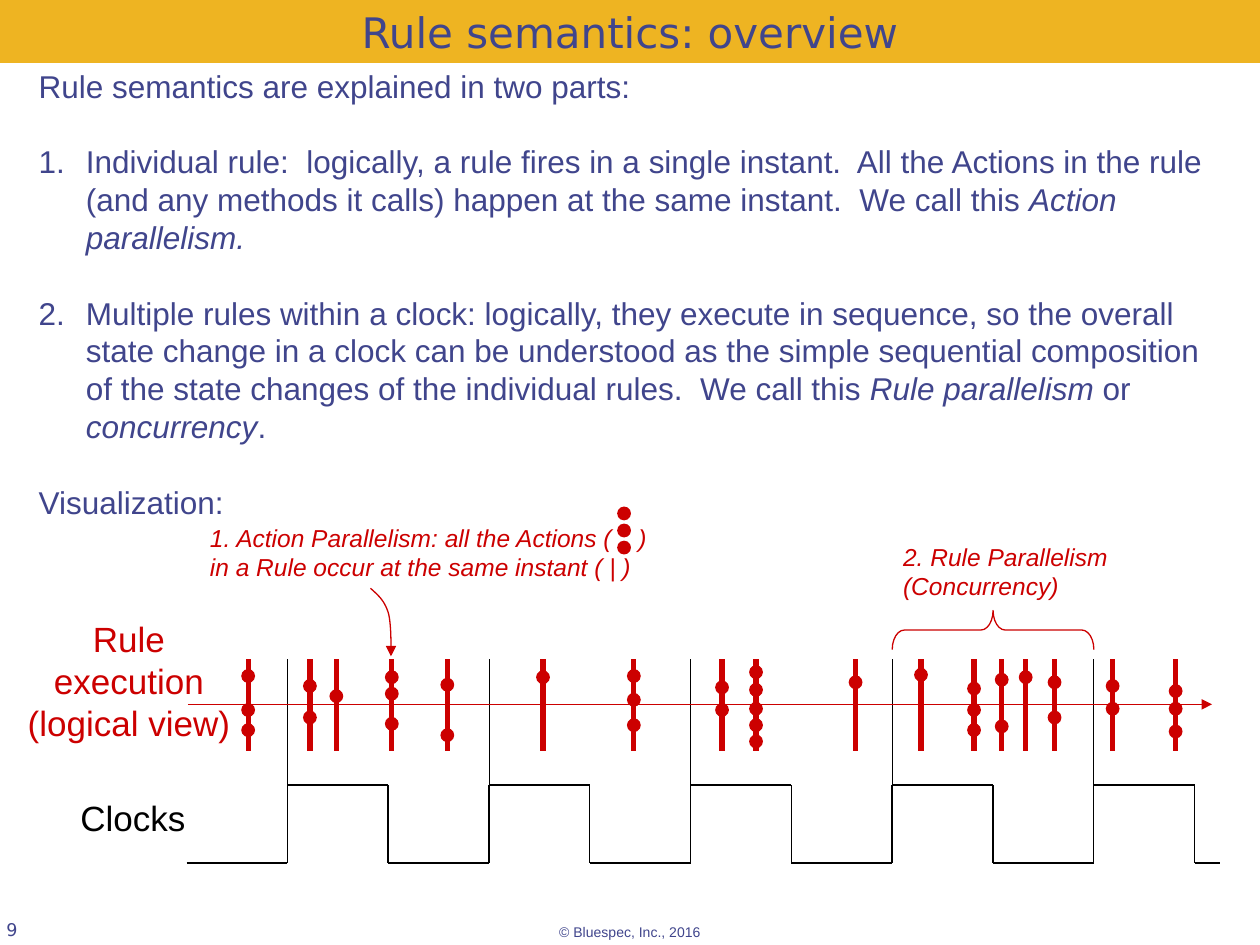
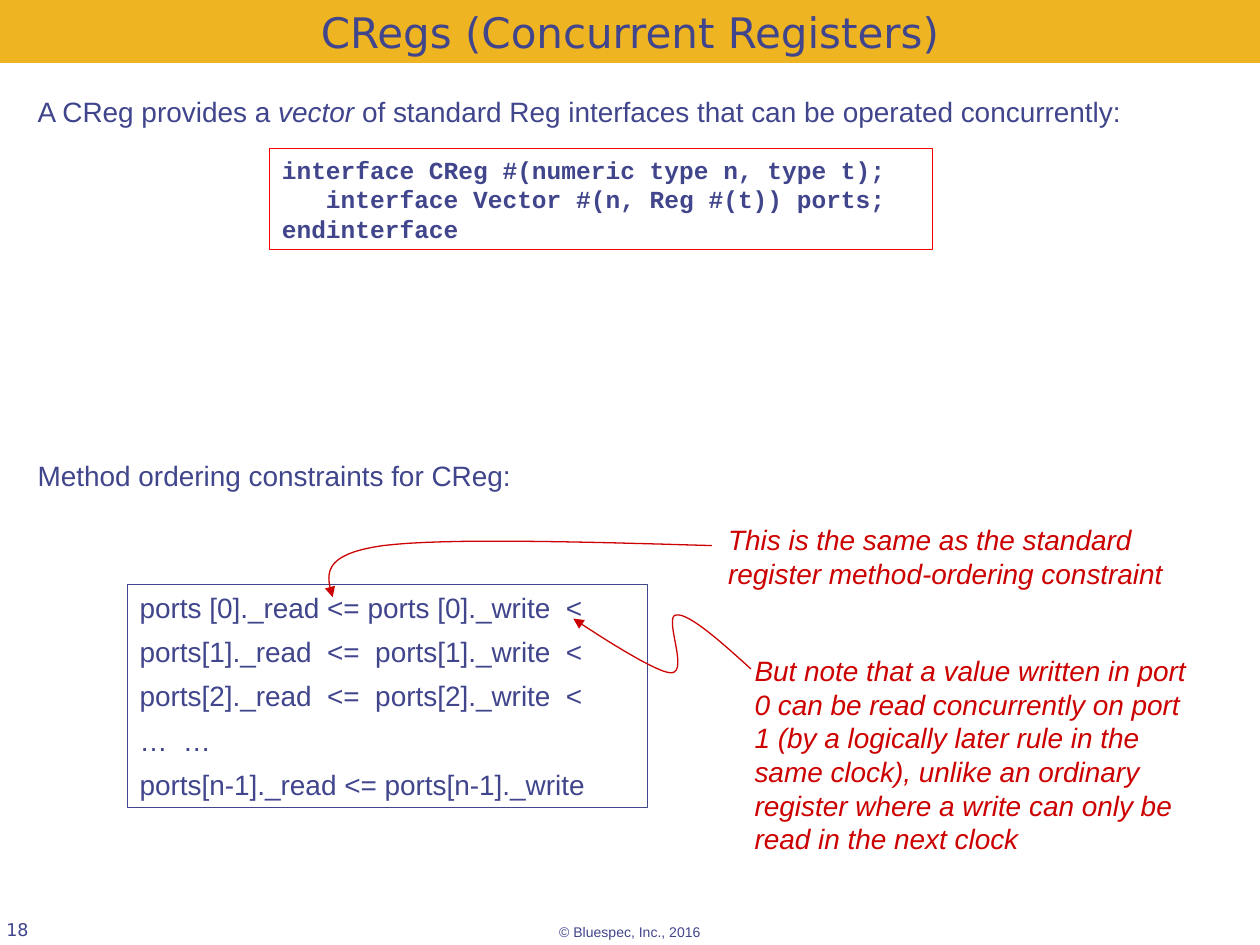
from lxml.etree import SubElement
from pptx import Presentation
from pptx.dml.color import RGBColor
from pptx.enum.shapes import MSO_CONNECTOR, MSO_SHAPE
from pptx.enum.text import MSO_ANCHOR, PP_ALIGN
from pptx.oxml.ns import qn
from pptx.util import Pt

COLORS = {
    "band": "EEB422",
    "text": "40458C",
    "accent": "CC0000",
    "code_border": "FF0000",
    "black": "000000",
}
MARGINS = (7.2, 3.6, 7.2, 3.6)
NO_MARGINS = (0, 0, 0, 0)
LINE_HEIGHT = 1.2
CURVE_STEPS = 16


def rgb(name):
    return RGBColor.from_string(COLORS[name])


def write(frame, paragraphs, size=16, color="text", font="Arial", bold=False,
          italic=False, align=PP_ALIGN.LEFT, anchor=MSO_ANCHOR.TOP,
          margins=MARGINS, gap=0, numbered=(), tab=None):
    """Fill a text frame; *asterisks* mark italics, numbered holds paragraph indexes."""
    frame.word_wrap = True
    frame.vertical_anchor = anchor
    frame.margin_left, frame.margin_top, frame.margin_right, frame.margin_bottom = map(Pt, margins)
    for index, text in enumerate(paragraphs):
        paragraph = frame.paragraphs[0] if index == 0 else frame.add_paragraph()
        properties = paragraph._p.get_or_add_pPr()
        if index in numbered:
            properties.set("marL", str(Pt(27)))
            properties.set("indent", str(-Pt(27)))
            SubElement(properties, qn("a:buFont"), typeface="+mj-lt")
            SubElement(properties, qn("a:buAutoNum"), type="arabicPeriod")
        if tab:
            tabs = SubElement(properties, qn("a:tabLst"))
            SubElement(tabs, qn("a:tab"), pos=str(Pt(tab)), algn="l")
        paragraph.alignment = align
        paragraph.line_spacing = Pt(LINE_HEIGHT * size)
        if index:
            paragraph.space_before = Pt(gap)
        for part, piece in enumerate(text.split("*")):
            if not piece:
                continue
            run = paragraph.add_run()
            run.text = piece
            run.font.size = Pt(size)
            run.font.name = font
            run.font.bold = bold
            run.font.italic = italic or part % 2 == 1
            run.font.color.rgb = rgb(color)


def bezier(start, first, second, end, steps=CURVE_STEPS):
    """Points along a cubic curve, without its start."""
    points = []
    for step in range(1, steps + 1):
        t = step / steps
        weights = ((1 - t) ** 3, 3 * t * (1 - t) ** 2, 3 * t * t * (1 - t), t ** 3)
        points.append(tuple(
            sum(weight * point[axis] for weight, point in zip(weights, (start, first, second, end)))
            for axis in (0, 1)))
    return points


class Deck:
    def __init__(self):
        self.presentation = Presentation()
        self.presentation.slide_width = Pt(720)
        self.presentation.slide_height = Pt(540)
        self.slide = None

    def start_slide(self, title, number):
        self.slide = self.presentation.slides.add_slide(self.presentation.slide_layouts[5])
        band = self.slide.shapes.title
        band.left, band.top, band.width, band.height = Pt(0), Pt(0), Pt(720), Pt(36)
        band.fill.solid()
        band.fill.fore_color.rgb = rgb("band")
        write(band.text_frame, [title], size=24, font="DejaVu Sans", align=PP_ALIGN.CENTER,
              anchor=MSO_ANCHOR.BOTTOM, margins=(0, 3.6, 0, 3.6))
        self.text(3.6, 501, 150, 36, [number], size=10, font="DejaVu Sans",
                  anchor=MSO_ANCHOR.BOTTOM, margins=NO_MARGINS)
        self.text(300, 524, 120, 16, ["© Bluespec, Inc., 2016"], size=8, align=PP_ALIGN.CENTER)

    def text(self, left, top, width, height, paragraphs, **style):
        box = self.slide.shapes.add_textbox(Pt(left), Pt(top), Pt(width), Pt(height))
        write(box.text_frame, paragraphs, **style)

    def shape(self, kind, left, top, width, height, fill=None, line=None):
        shape = self.slide.shapes.add_shape(kind, Pt(left), Pt(top), Pt(width), Pt(height))
        shape.shadow.inherit = False
        if fill:
            shape.fill.solid()
            shape.fill.fore_color.rgb = rgb(fill)
        else:
            shape.fill.background()
        if line:
            shape.line.color.rgb = rgb(line)
            shape.line.width = Pt(0.75)
        else:
            shape.line.fill.background()
        return shape

    def framed_text(self, left, top, width, height, paragraphs, line, **style):
        frame = self.shape(MSO_SHAPE.RECTANGLE, left, top, width, height, line=line)
        write(frame.text_frame, paragraphs, **style)

    def dot(self, x, y, diameter=7.9):
        self.shape(MSO_SHAPE.OVAL, x - diameter / 2, y - diameter / 2, diameter, diameter,
                   fill="accent")

    def style_line(self, shape, color, width, arrow):
        shape.line.color.rgb = rgb(color)
        shape.line.width = Pt(width)
        if arrow:
            SubElement(shape.line._get_or_add_ln(), qn("a:tailEnd"), type="triangle")

    def line(self, start, end, color="black", width=0.25, arrow=False):
        connector = self.slide.shapes.add_connector(
            MSO_CONNECTOR.STRAIGHT, *(Pt(value) for value in (*start, *end)))
        self.style_line(connector, color, width, arrow)
        SubElement(connector._element.spPr, qn("a:effectLst"))

    def curved_arrow(self, start, *segments):
        points = [start]
        for segment in segments:
            points += bezier(points[-1], *segment)
        points = [(Pt(x), Pt(y)) for x, y in points]
        builder = self.slide.shapes.build_freeform(*points[0])
        builder.add_line_segments(points[1:], close=False)
        curve = builder.convert_to_shape()
        curve.shadow.inherit = False
        curve.fill.background()
        self.style_line(curve, "accent", 0, True)


def draw_clock(deck):
    first_rise, period, high, low = 164.2, 115.2, 448.6, 493.2
    points = [(106.6, low)]
    for cycle in range(5):
        rise = first_rise + cycle * period
        fall = rise + period / 2
        deck.line((rise, 376.6), (rise, 460))
        points += [(rise, low), (rise, high), (fall, high), (fall, low)]
    points.append((697, low))
    for start, end in zip(points, points[1:]):
        deck.line(start, end, width=0.75)


def draw_rules(deck):
    """Each rule is a bar at one instant; its dots are the actions."""
    rules = {
        141.8: (386.3, 405.7, 417.2),
        177.1: (392, 410),
        192.2: (397.8,),
        223.9: (387, 396.4, 413.6),
        255.6: (391.3, 420.1),
        310.3: (387,),
        362.2: (386.3, 399.9, 414.4),
        412.6: (392.8, 405.7),
        432: (384.1, 394.2, 405, 414.4, 423.7),
        488.9: (389.9,),
        526.3: (385.6,),
        556.6: (393.5, 405.7, 417.2),
        572.4: (388.4, 415.1),
        586.1: (387,),
        602.6: (389.9, 410),
        635.8: (392, 405),
        671.8: (394.9, 405, 418),
    }
    deck.line((107.3, 402.5), (692.6, 402.5), color="accent", arrow=True)
    for x, actions in rules.items():
        deck.line((x, 376.6), (x, 429.1), color="accent", width=3)
        for y in actions:
            deck.dot(x, y)


def build_rule_semantics(deck):
    deck.start_slide("Rule semantics: overview", "9")
    deck.text(15, 34.6, 690.5, 266.4, [
        "Rule semantics are explained in two parts:",
        "Individual rule:  logically, a rule fires in a single instant.  All the Actions in the "
        "rule (and any methods it calls) happen at the same instant.  We call this "
        "*Action parallelism.*",
        "Multiple rules within a clock: logically, they execute in sequence, so the overall "
        "state change in a clock can be understood as the simple sequential composition of the "
        "state changes of the individual rules.  We call this *Rule parallelism *or "
        "*concurrency*.",
        "Visualization:",
    ], size=18, gap=21.6, numbered=(1, 2))
    draw_clock(deck)
    draw_rules(deck)

    note = dict(size=14, color="accent", italic=True)
    deck.text(120, 298.8, 258, 33.8, [
        "1. Action Parallelism: all the Actions (\t) in a Rule occur at the same instant ( | )",
    ], margins=NO_MARGINS, tab=244.8, **note)
    for row in range(3):
        deck.dot(356.6, 293.4 + 9.75 * row)
    deck.curved_arrow((211.7, 336.2),
                      ((216.7, 340.6), (219.6, 343.4), (221.8, 349.9)),
                      ((223.9, 356.4), (223.4, 375.1), (223.4, 375.1)))
    deck.text(509, 310, 139, 33, ["2. Rule Parallelism (Concurrency)"],
              anchor=MSO_ANCHOR.MIDDLE, margins=(7.2, 0, 7.2, 0), **note)
    brace = deck.shape(MSO_SHAPE.LEFT_BRACE, 556.3, 302.4, 22.3, 115.2, line="accent")
    brace.rotation = 90
    brace.adjustments[0] = 0.31

    label = dict(size=20, align=PP_ALIGN.CENTER)
    deck.text(3.7, 349.2, 140, 79.2, ["Rule", "execution", "(logical view)"],
              color="accent", **label)
    deck.text(26, 451.4, 100, 31, ["Clocks"], color="black", **label)


def build_concurrent_registers(deck):
    deck.start_slide("CRegs (Concurrent Registers)", "18")
    deck.text(14.4, 50.4, 648.7, 26.6, [
        "A CReg provides a *vector* of standard Reg interfaces that can be operated concurrently:"])
    deck.framed_text(154, 85, 378.7, 57.6, [
        "interface CReg #(numeric type n, type t);",
        "   interface Vector #(n, Reg #(t)) ports;",
        "endinterface",
    ], line="code_border", size=14, font="Courier New", bold=True)
    deck.text(14.4, 258.5, 658.8, 26.6, ["Method ordering constraints for CReg:"])
    deck.framed_text(72.7, 334.1, 297.4, 127.4, [
        "ports [0]._read <= ports [0]._write  <",
        "ports[1]._read  <=  ports[1]._write  <",
        "ports[2]._read  <=  ports[2]._write  <",
        "…  …",
        "ports[n-1]._read <= ports[n-1]._write",
    ], line="text", gap=6)

    note = dict(color="accent", italic=True)
    deck.text(409, 295.2, 265.7, 45.4, [
        "This is the same as the standard register method-ordering constraint"], **note)
    deck.text(424.1, 370.1, 265.7, 122.4, [
        "But note that a value written in port 0 can be read concurrently on port 1 (by a "
        "logically later rule in the same clock), unlike an ordinary register where a write "
        "can only be read in the next clock"], **note)
    deck.curved_arrow((406.8, 311.8),
                      ((331.2, 309.6), (254.9, 307.4), (218.9, 311.8)),
                      ((182.9, 316.8), (186.5, 329), (190.1, 341.3)))
    deck.curved_arrow((429.1, 382.3),
                      ((411.8, 366.5), (393.8, 350.6), (386.6, 351.4)),
                      ((378.7, 351.4), (393.8, 383.8), (383.8, 384.5)),
                      ((374.4, 385.2), (327.6, 353.5), (327.6, 353.5)))


def main():
    deck = Deck()
    build_rule_semantics(deck)
    build_concurrent_registers(deck)
    deck.presentation.save("out.pptx")


if __name__ == "__main__":
    main()
